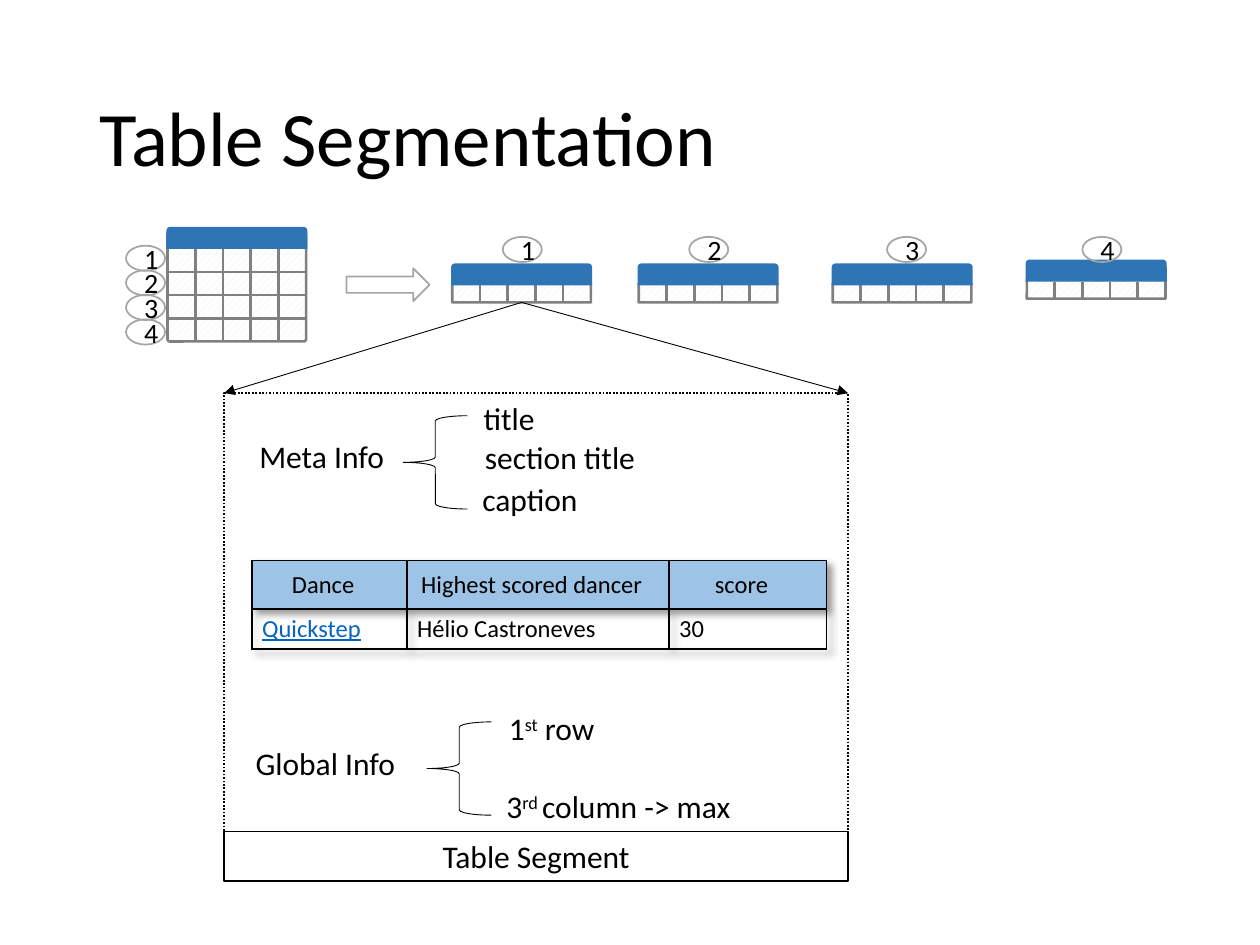
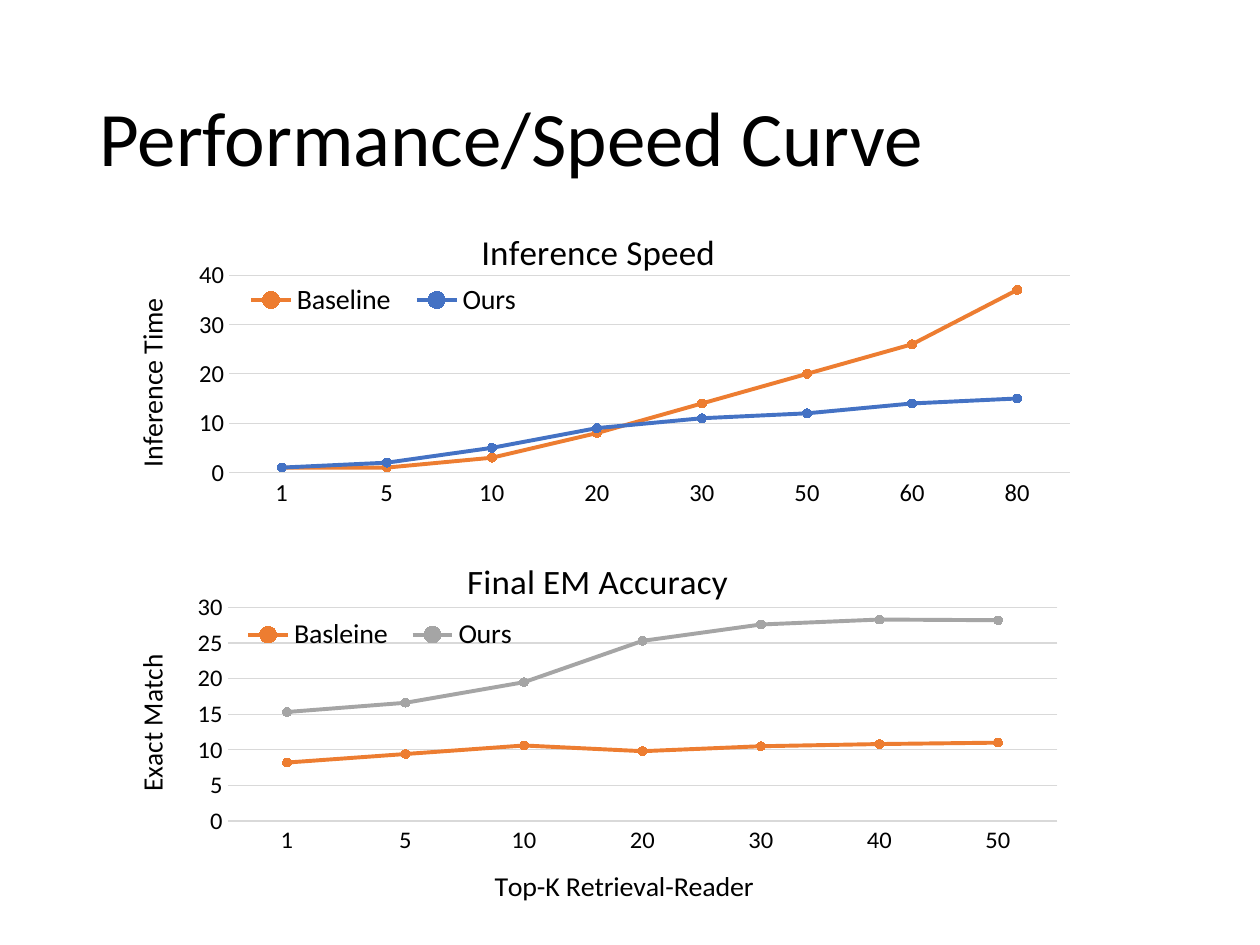
from lxml.etree import SubElement
from pptx import Presentation
from pptx.chart.data import CategoryChartData
from pptx.dml.color import RGBColor
from pptx.enum.chart import XL_CHART_TYPE, XL_LEGEND_POSITION, XL_MARKER_STYLE, XL_TICK_MARK
from pptx.enum.dml import MSO_LINE, MSO_PATTERN
from pptx.enum.shapes import MSO_CONNECTOR, MSO_SHAPE
from pptx.enum.text import MSO_ANCHOR, MSO_AUTO_SIZE, PP_ALIGN
from pptx.oxml import parse_xml
from pptx.oxml.ns import nsdecls, qn
from pptx.util import Inches, Pt

COLORS = {
    "text": "000000", "white": "FFFFFF", "link": "0563C1", "header": "9DC3E6",
    "band": "2E75B6", "grid": "808080", "hatch": "EDEDED", "outline": "A5A5A5",
    "axis": "D9D9D9", "orange": "ED7D31", "blue": "4472C4", "gray": "A5A5A5",
}
FONT = "Calibri"
COLUMNS, ROWS = 100, 75


def color(name):
    return RGBColor.from_string(COLORS[name])


def set_layout(element, index, x, y, w=None, h=None, inner=False):
    for old in element.findall(qn("c:layout")):
        element.remove(old)
    layout = parse_xml(f"<c:layout {nsdecls('c')}><c:manualLayout/></c:layout>")
    settings = [("layoutTarget", "inner")] if inner else []
    settings += [("xMode", "edge"), ("yMode", "edge"), ("x", x), ("y", y)]
    if w is not None:
        settings += [("w", w), ("h", h)]
    for tag, value in settings:
        SubElement(layout[0], qn(f"c:{tag}")).set("val", str(value))
    element.insert(index, layout)


class SlideBuilder:
    def __init__(self):
        self.deck = Presentation()
        self.deck.slide_width, self.deck.slide_height = Inches(10), Inches(7.5)

    def x(self, columns):
        return round(self.deck.slide_width * columns / COLUMNS)

    def y(self, rows):
        return round(self.deck.slide_height * rows / ROWS)

    def frame(self, left, top, width, height):
        return self.x(left), self.y(top), self.x(width), self.y(height)

    def new_slide(self, title):
        self.page = self.deck.slides.add_slide(self.deck.slide_layouts[5])
        self.shapes = self.page.shapes
        holder = self.shapes.title
        holder.left, holder.top, holder.width, holder.height = self.frame(6.9, 4, 86.2, 14.5)
        holder.text_frame.text = title
        holder.text_frame.vertical_anchor = MSO_ANCHOR.MIDDLE
        holder.text_frame.auto_size = MSO_AUTO_SIZE.NONE
        para = holder.text_frame.paragraphs[0]
        para.line_spacing = 0.9
        self.format(para, 44, align=PP_ALIGN.LEFT)

    def start_group(self):
        self.shapes = self.page.shapes.add_group_shape().shapes

    def end_group(self):
        self.shapes = self.page.shapes

    def format(self, para, size, tint="text", align=None):
        self.set_font(para.font, size, tint)
        if align is not None:
            para.alignment = align

    def set_font(self, font, size, tint="text"):
        font.name, font.size, font.bold = FONT, Pt(size), False
        font.color.rgb = color(tint)

    def shape(self, kind, at, fill=None, line=None, weight=1, text=None, size=18):
        box = self.shapes.add_shape(kind, *self.frame(*at))
        box.shadow.inherit = False
        if fill:
            box.fill.solid()
            box.fill.fore_color.rgb = color(fill)
        else:
            box.fill.background()
        if line:
            box.line.color.rgb = color(line)
            box.line.width = Pt(weight)
        else:
            box.line.fill.background()
        if text:
            box.text_frame.text = text
            box.text_frame.vertical_anchor = MSO_ANCHOR.MIDDLE
            self.format(box.text_frame.paragraphs[0], size, align=PP_ALIGN.CENTER)
        return box

    def label(self, at, *parts):
        frame = self.shapes.add_textbox(*self.frame(*at)).text_frame
        frame.word_wrap = False
        frame.auto_size = MSO_AUTO_SIZE.SHAPE_TO_FIT_TEXT
        para = frame.paragraphs[0]
        self.format(para, 18)
        for number, part in enumerate(parts):
            span = para.add_run()
            span.text = part
            if number == 1:
                span.font._element.set("baseline", "30000")

    def line(self, start, end, tint, weight, arrow=False):
        link = self.shapes.add_connector(
            MSO_CONNECTOR.STRAIGHT, self.x(start[0]), self.y(start[1]), self.x(end[0]), self.y(end[1]))
        link.line.color.rgb = color(tint)
        link.line.width = Pt(weight)
        properties = link._element.spPr
        SubElement(properties, qn("a:effectLst"))
        if arrow:
            SubElement(properties.find(qn("a:ln")), qn("a:tailEnd")).set("type", "triangle")
        return link

    def badge(self, left, top, number):
        self.shape(MSO_SHAPE.OVAL, (left, top, 3.1, 2), line="outline", text=str(number), size=16)

    def mini_table(self, left, top, body_top, bottom, rows):
        width, band = 11, 1.75
        self.start_group()
        body = self.shape(MSO_SHAPE.ROUNDED_RECTANGLE, (left, body_top, width, bottom - body_top),
                          line="grid", weight=1.5)
        body.adjustments[0] = 0.02
        body.fill.patterned()
        body.fill.pattern = MSO_PATTERN.WIDE_UPWARD_DIAGONAL
        body.fill.fore_color.rgb = color("hatch")
        body.fill.back_color.rgb = color("white")
        first = top + band
        for row in range(1, rows):
            level = first + row * (bottom - first) / rows
            self.line((left, level), (left + width, level), "grid", 1.5)
        for column in range(1, 5):
            place = left + column * width / 5
            self.line((place, bottom), (place, first), "grid", 1.5)
        header = self.shape(MSO_SHAPE.ROUND_2_SAME_RECTANGLE,
                            (left - 0.1, top, width + 0.2, band), fill="band")
        header.adjustments[0] = 0.18
        self.end_group()
        return body

    def info(self, name, name_at, brace_at, items):
        self.start_group()
        self.label(name_at, name)
        self.shape(MSO_SHAPE.LEFT_BRACE, brace_at, line="text", weight=0.5)
        for at, parts in items:
            self.label(at, *parts)
        self.end_group()

    def table(self, at, widths, heights, values):
        table = self.shapes.add_table(len(values), len(widths), *self.frame(*at)).table
        table.first_row = table.horz_banding = False
        table._tbl.tblPr.insert(0, parse_xml(
            f"<a:effectLst {nsdecls('a')}><a:outerShdw blurRad='50800' dist='38100' dir='2700000'>"
            "<a:srgbClr val='000000'><a:alpha val='40000'/></a:srgbClr></a:outerShdw></a:effectLst>"))
        for column, width in zip(table.columns, widths):
            column.width = self.x(width)
        for row, height in zip(table.rows, heights):
            row.height = self.y(height)
        for r, texts in enumerate(values):
            for c, text in enumerate(texts):
                self.cell(table.cell(r, c), text, header=r == 0)
        return table

    def cell(self, cell, text, header):
        cell.text = text
        cell.vertical_anchor = MSO_ANCHOR.MIDDLE
        cell.margin_left = self.x(0.8)
        cell.margin_right = self.x(1.8 if header else 0.8)
        cell.margin_top = cell.margin_bottom = self.y(0.4)
        self.format(cell.text_frame.paragraphs[0], 14,
                    align=PP_ALIGN.CENTER if header else PP_ALIGN.LEFT)
        properties = cell._tc.get_or_add_tcPr()
        for side in ("lnL", "lnR", "lnT", "lnB"):
            border = SubElement(properties, qn(f"a:{side}"), w=str(Pt(1)))
            SubElement(SubElement(border, qn("a:solidFill")), qn("a:srgbClr"), val=COLORS["text"])
        if header:
            cell.fill.solid()
            cell.fill.fore_color.rgb = color("header")
        else:
            cell.fill.background()

    def chart_title(self, title, text, size, x, y, turned=False):
        title.text_frame.text = text
        self.format(title.text_frame.paragraphs[0], size)
        if turned:
            body = title.text_frame._txBody.bodyPr
            body.set("rot", "-5400000")
            body.set("vert", "horz")
        set_layout(title.element, 1, x, y)

    def line_chart(self, at, title, title_at, value_title, value_at, categories, series,
                   plot_at, legend_at, top, step, category_title=None):
        data = CategoryChartData()
        data.categories = categories
        for name, _, values in series:
            data.add_series(name, values)
        chart = self.shapes.add_chart(XL_CHART_TYPE.LINE_MARKERS, *self.frame(*at), data).chart
        self.set_font(chart.font, 10)
        chart.has_title = True
        self.chart_title(chart.chart_title, title, 20, *title_at)
        plot = chart.plots[0]
        plot.vary_by_categories = False
        for line, (_, tint, _) in zip(plot.series, series):
            line.smooth = False
            line.format.line.color.rgb = color(tint)
            line.format.line.width = Pt(2.25)
            line.marker.style, line.marker.size = XL_MARKER_STYLE.CIRCLE, 5
            line.marker.format.fill.solid()
            line.marker.format.fill.fore_color.rgb = color(tint)
            line.marker.format.line.color.rgb = color(tint)
        for axis in (chart.category_axis, chart.value_axis):
            axis.major_tick_mark = axis.minor_tick_mark = XL_TICK_MARK.NONE
            self.set_font(axis.tick_labels.font, 14)
        chart.category_axis.format.line.color.rgb = color("axis")
        chart.category_axis.format.line.width = Pt(0.75)
        scale = chart.value_axis
        scale.minimum_scale, scale.maximum_scale, scale.major_unit = 0, top, step
        scale.format.line.fill.background()
        scale.major_gridlines.format.line.color.rgb = color("axis")
        scale.major_gridlines.format.line.width = Pt(0.75)
        self.chart_title(scale.axis_title, value_title, 16, *value_at, turned=True)
        if category_title:
            self.chart_title(chart.category_axis.axis_title, category_title, 16, 0.39, 0.89)
        chart.has_legend = True
        chart.legend.position = XL_LEGEND_POSITION.BOTTOM
        chart.legend.include_in_layout = False
        self.set_font(chart.legend.font, 16)
        set_layout(chart.element.xpath("c:chart/c:legend")[0], 1, *legend_at)
        set_layout(chart.element.xpath("c:chart/c:plotArea")[0], 0, *plot_at, inner=True)


def build_segmentation(builder):
    builder.new_slide("Table Segmentation")
    table = builder.table((20, 44.5, 45.6, 7), (12.3, 20.8, 12.5), (3.85, 3.15), [
        ("Dance", "Highest scored dancer", "score"),
        ("Quickstep", "Hélio Castroneves", "30")])
    link = table.cell(1, 0).text_frame.paragraphs[0]
    link.font.color.rgb = color("link")
    link.font.underline = True
    builder.shape(MSO_SHAPE.RIGHT_ARROW, (27.5, 21.3, 6.6, 2.6), fill="white", line="outline")
    builder.info("Meta Info", (19.6, 34.2, 12, 4), (32, 33, 5.1, 7.4), [
        ((37.4, 31.2, 6.1, 4), ["title"]),
        ((37.5, 34.3, 14.1, 4), ["section title"]),
        ((37.3, 37.6, 9.7, 4), ["caption"])])
    builder.info("Global Info", (19.3, 58.6, 13.2, 4), (33.9, 57.3, 5.1, 7.4), [
        ((39.2, 62, 20.2, 4), ["3", "rd ", "column -> max"]),
        ((39.4, 55.8, 9.1, 4), ["1", "st", " row"])])

    left, top, width, height = 17.8, 31.2, 49.5, 34.8
    panel = builder.shape(MSO_SHAPE.RECTANGLE, (left, top, width, height), line="text")
    panel.line.dash_style = MSO_LINE.ROUND_DOT
    builder.mini_table(13.3, 18, 18.4, 27.1, rows=4)
    segments = [builder.mini_table(column, row, row + 1.6, row + 3.1, rows=1)
                for column, row in ((35.9, 20.9), (50.7, 20.9), (66.1, 20.9), (81.5, 20.6))]
    for corner in (left, left + width):
        arrow = builder.line((41.4, 24), (corner, top), "text", 0.5, arrow=True)
        arrow.begin_connect(segments[0], 2)
    for number, column in enumerate((39.9, 54.7, 70.4, 85.9), 1):
        builder.badge(column, 18.8, number)
    for number in range(1, 5):
        builder.badge(10, 19.5 + 1.95 * (number - 1), number)
    builder.shape(MSO_SHAPE.RECTANGLE, (left, top + height, width, 3.9), line="text", text="Table Segment")


def build_performance(builder):
    builder.new_slide("Performance/Speed Curve")
    builder.line_chart(
        (9.4, 16.5, 76.5, 25.2), "Inference Speed", (0.37, 0.04), "Inference Time", (0.01, 0.27),
        ["1", "5", "10", "20", "30", "50", "60", "80"],
        [("Baseline", "orange", (1, 1, 3, 8, 14, 20, 26, 37)),
         ("Ours", "blue", (1, 2, 5, 9, 11, 12, 14, 15))],
        (0.115, 0.212, 0.872, 0.622), (0.12, 0.23, 0.31, 0.12), top=40, step=10)
    builder.line_chart(
        (9.4, 42.9, 75.5, 29.5), "Final EM Accuracy", (0.36, 0.03), "Exact Match", (0.01, 0.31),
        ["1", "5", "10", "20", "30", "40", "50"],
        [("Basleine", "orange", (8.2, 9.4, 10.6, 9.8, 10.5, 10.8, 11)),
         ("Ours", "gray", (15.3, 16.6, 19.5, 25.3, 27.6, 28.3, 28.2))],
        (0.115, 0.185, 0.872, 0.59), (0.12, 0.21, 0.31, 0.1), top=30, step=5,
        category_title="Top-K Retrieval-Reader")


def main():
    builder = SlideBuilder()
    build_segmentation(builder)
    build_performance(builder)
    builder.deck.save("out.pptx")


if __name__ == "__main__":
    main()
